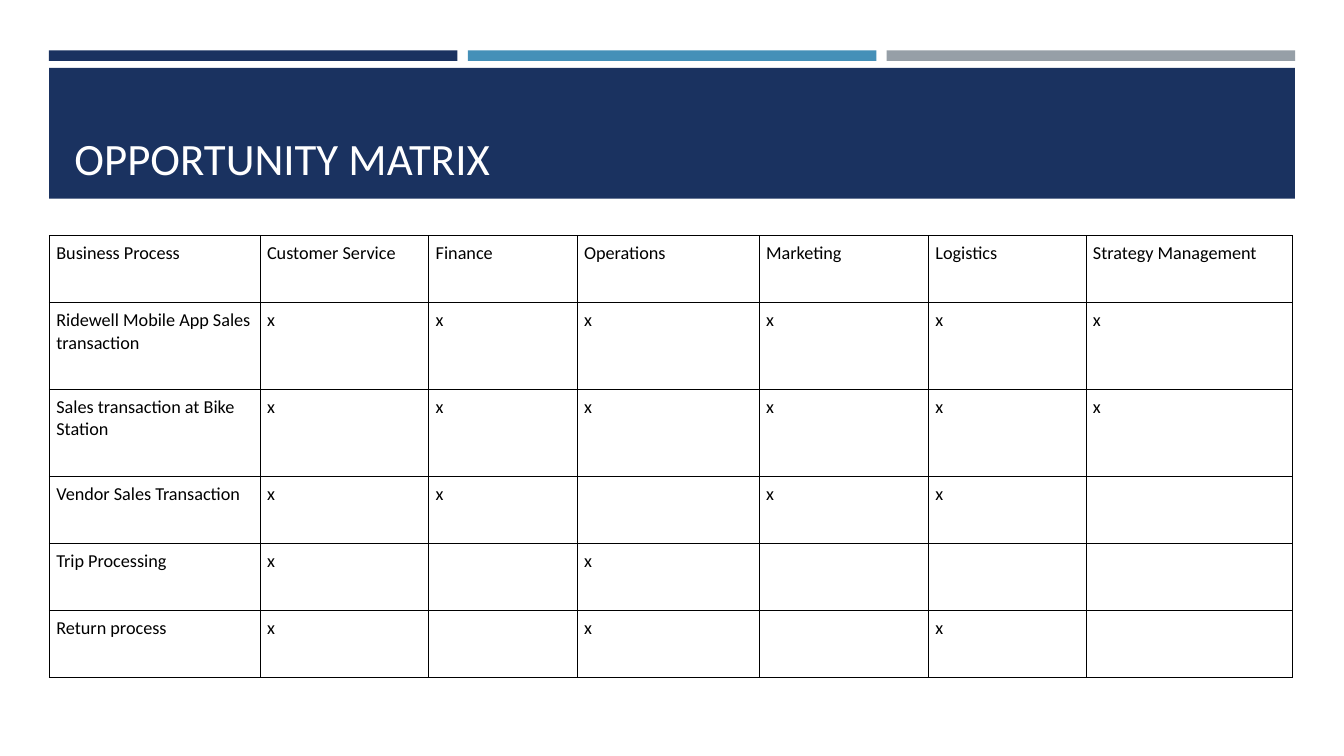
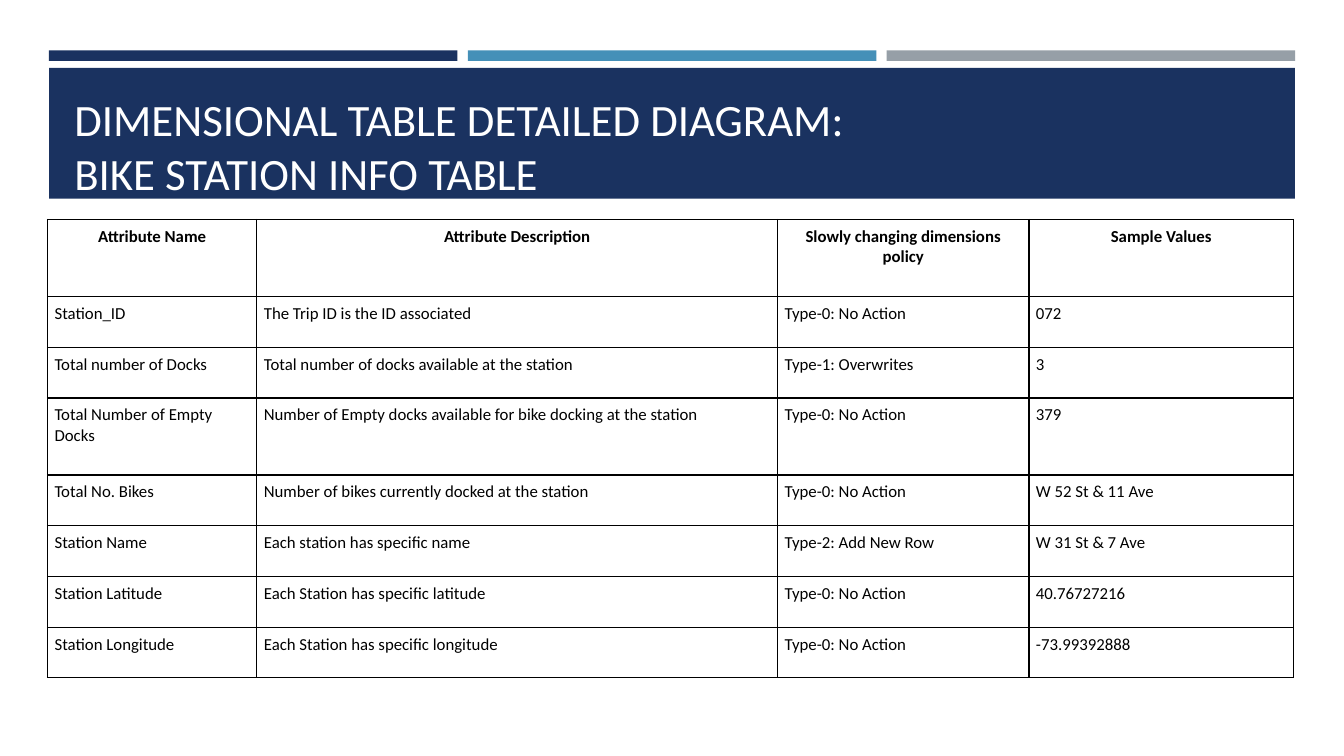
import pptx
import pptx.dml.color
import pptx.enum.shapes
import pptx.enum.text
import pptx.oxml
import pptx.oxml.ns
import pptx.util
from pptx.util import Pt

NAVY, BLUE, GREY = "1A3260", "4590B8", "969FA7"
WHITE, BLACK = "FFFFFF", "000000"
FONT = "Calibri"


def color(value):
    """Turn a hex string into a colour."""
    return pptx.dml.color.RGBColor.from_string(value)


class Deck:
    """Holds the shared style and the current slide."""

    def __init__(self):
        self.deck = pptx.Presentation()
        self.deck.slide_width = Pt(960)
        self.deck.slide_height = Pt(540)
        self.page = None

    def add_page(self, title, left, top, width, height, inset_x=7.2, inset_y=3.6):
        """Start a slide with its bands and title."""
        self.page = self.deck.slides.add_slide(self.deck.slide_layouts[5])
        for index, fill in enumerate((NAVY, BLUE, GREY)):
            self.band(35 + 299.2 * index, 36, 291.8, 7.6, fill)
        self.band(35, 48.5, 890, 93.5, NAVY)
        self.title(title, left, top, width, height, inset_x, inset_y)

    def band(self, left, top, width, height, fill):
        """Draw a plain filled rectangle."""
        box = self.page.shapes.add_shape(
            pptx.enum.shapes.MSO_SHAPE.RECTANGLE, Pt(left), Pt(top), Pt(width), Pt(height)
        )
        box.shadow.inherit = False
        box.fill.solid()
        box.fill.fore_color.rgb = color(fill)
        box.line.fill.background()

    def title(self, text, left, top, width, height, inset_x, inset_y):
        """Place the title in front of the bands."""
        box = self.page.shapes.title
        box.element.getparent().append(box.element)
        box.left, box.top, box.width, box.height = Pt(left), Pt(top), Pt(width), Pt(height)
        frame = box.text_frame
        frame.text = text
        frame.word_wrap = True
        frame.auto_size = pptx.enum.text.MSO_AUTO_SIZE.NONE
        frame.vertical_anchor = pptx.enum.text.MSO_ANCHOR.BOTTOM
        frame.margin_left = frame.margin_right = Pt(inset_x)
        frame.margin_top = frame.margin_bottom = Pt(inset_y)
        self.format(frame.paragraphs[0], 32, WHITE)

    def format(self, para, size, fill, bold=False, centered=False):
        """Set the font and alignment of a paragraph."""
        align = pptx.enum.text.PP_ALIGN
        para.alignment = align.CENTER if centered else align.LEFT
        para.font.name = FONT
        para.font.size = Pt(size)
        para.font.bold = bold
        para.font.color.rgb = color(fill)

    def table(self, left, top, widths, heights, rows, size, border, bold_header=False):
        """Add a ruled table."""
        frame = self.page.shapes.add_table(
            len(rows), len(widths), Pt(left), Pt(top), Pt(sum(widths)), Pt(sum(heights))
        )
        grid = frame.table
        grid.first_row = grid.horz_banding = False
        for column, width in zip(grid.columns, widths):
            column.width = Pt(width)
        for row_index, (row, height, texts) in enumerate(zip(grid.rows, heights, rows)):
            row.height = Pt(height)
            header = bold_header and row_index == 0
            for cell, text in zip(row.cells, texts):
                self.cell(cell, text, size, border, header)

    def cell(self, cell, text, size, border, header):
        """Fill in one table cell and rule its sides."""
        cell.margin_left = cell.margin_right = cell.margin_top = cell.margin_bottom = Pt(5)
        if text:
            cell.text = text
            self.format(cell.text_frame.paragraphs[0], size, BLACK, header, header)
        properties = cell._tc.get_or_add_tcPr()
        for side in ("lnL", "lnR", "lnT", "lnB"):
            properties.append(pptx.oxml.parse_xml(
                f'<a:{side} {pptx.oxml.ns.nsdecls("a")} w="{Pt(border)}">'
                f'<a:solidFill><a:srgbClr val="{BLACK}"/></a:solidFill></a:{side}>'
            ))
        cell.fill.background()


def opportunity_matrix(deck):
    """Build the matrix of processes and functions."""
    processes = {
        "Ridewell Mobile App Sales transaction": "xxxxxx",
        "Sales transaction at Bike Station": "xxxxxx",
        "Vendor Sales Transaction": "xx-xx-",
        "Trip Processing": "x-x---",
        "Return process": "x-x-x-",
    }
    rows = [("Business Process", "Customer Service", "Finance", "Operations",
             "Marketing", "Logistics", "Strategy Management")]
    rows += [(name, *(mark.strip("-") for mark in marks)) for name, marks in processes.items()]
    deck.add_page("OPPORTUNITY MATRIX", 46, 55.5, 868, 80)
    deck.table(35.3, 168.2, (150.5, 120.5, 106, 130, 121, 112.5, 147.5),
               (48, 62, 62, 48, 48, 48), rows, 13, 0.75)


def station_table(deck):
    """Build the table of station attributes."""
    rows = (
        ("Attribute Name", "Attribute Description",
         "Slowly changing dimensions policy", "Sample Values"),
        ("Station_ID", "The Trip ID is the ID associated", "Type-0: No Action", "072"),
        ("Total number of Docks", "Total number of docks available at the station",
         "Type-1: Overwrites", "3"),
        ("Total Number of Empty Docks",
         "Number of Empty docks available for bike docking at the station",
         "Type-0: No Action", "379"),
        ("Total No. Bikes", "Number of bikes currently docked at the station",
         "Type-0: No Action", "W 52 St & 11 Ave"),
        ("Station Name", "Each station has specific name",
         "Type-2: Add New Row", "W 31 St & 7 Ave"),
        ("Station Latitude", "Each Station has specific latitude",
         "Type-0: No Action", "40.76727216"),
        ("Station Longitude", "Each Station has specific longitude",
         "Type-0: No Action", "-73.99392888"),
    )
    tall, low = 55, 36.25
    deck.add_page("DIMENSIONAL TABLE DETAILED DIAGRAM:\vBIKE STATION INFO TABLE",
                  43.5, 44.5, 784, 102.5, 9.6, 4.8)
    deck.table(34, 156.8, (149.5, 372, 179.5, 189),
               (tall, low, low, tall, low, low, low, low), rows, 12, 1, True)


def main():
    """Build and save the slides."""
    deck = Deck()
    opportunity_matrix(deck)
    station_table(deck)
    deck.deck.save("out.pptx")


if __name__ == "__main__":
    main()
